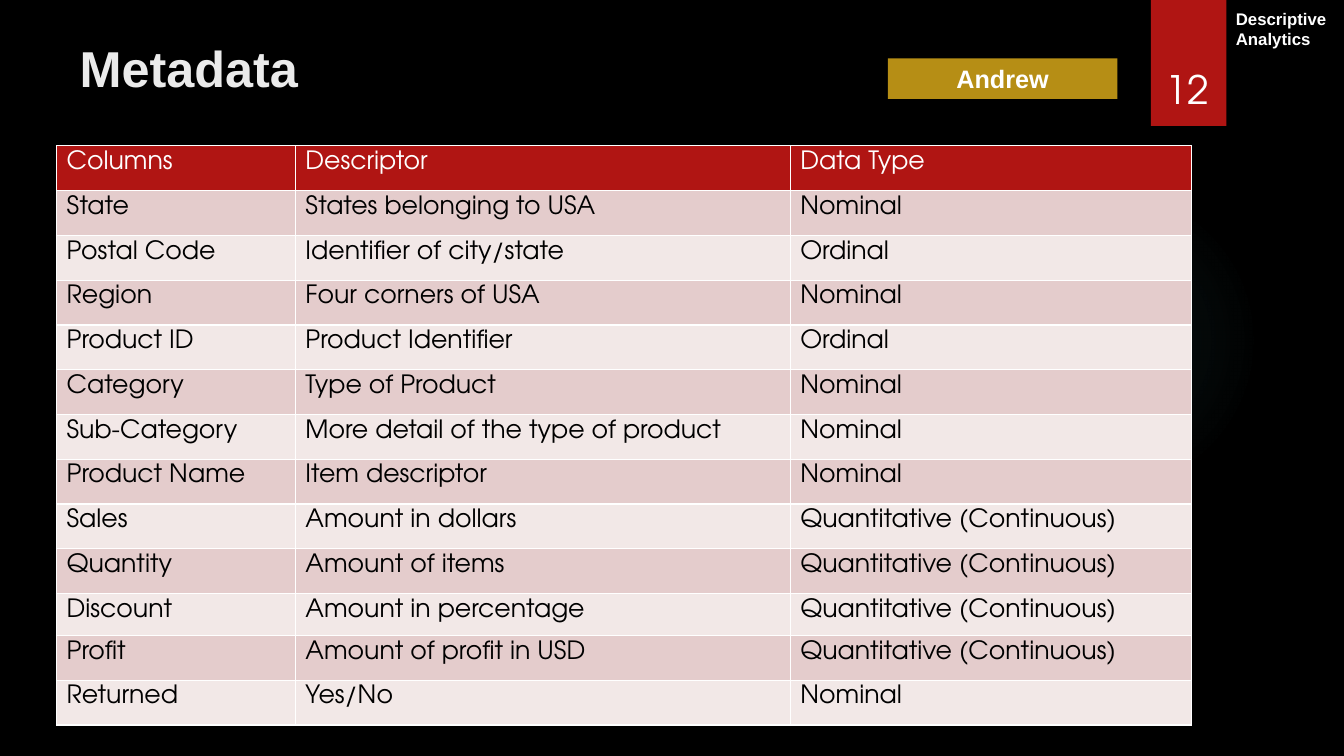
from pptx import Presentation
from pptx.dml.color import RGBColor
from pptx.enum.shapes import MSO_SHAPE
from pptx.enum.text import MSO_ANCHOR, PP_ALIGN
from pptx.oxml import parse_xml
from pptx.oxml.ns import nsdecls
from pptx.util import Pt

TITLE = "Metadata"
TOPIC = "Descriptive Analytics"
AUTHOR = "Andrew"
NUMBER = "12"
QUANT = "Quantitative (Continuous)"
ROWS = [
    ("Columns", "Descriptor", "Data Type"),
    ("State", "States belonging to USA", "Nominal"),
    ("Postal Code", "Identifier of city/state", "Ordinal"),
    ("Region", "Four corners of USA", "Nominal"),
    ("Product ID", "Product Identifier", "Ordinal"),
    ("Category", "Type of Product", "Nominal"),
    ("Sub-Category", "More detail of the type of product", "Nominal"),
    ("Product Name", "Item descriptor", "Nominal"),
    ("Sales", "Amount in dollars", QUANT),
    ("Quantity", "Amount of items", QUANT),
    ("Discount", "Amount in percentage", QUANT),
    ("Profit", "Amount of profit in USD", QUANT),
    ("Returned", "Yes/No", "Nominal"),
]
WIDTHS = (170.6, 353.5, 286.6)
TALL, SHORT = 32, 30
HEIGHTS = [SHORT if row[0] == "Discount" else TALL for row in ROWS]

COLORS = {
    "back": "000000", "red": "B01513", "gold": "B68E15", "glow": "50B9C1",
    "white": "FFFFFF", "title": "EBEBEB", "dark": "E4CCCC", "light": "F2E8E7",
}
GLOW = [(0, 7), (36, 6), (69, 0)]  # position and opacity, percent
SANS, GEO = "Arial", "TeX Gyre Adventor"


def color(name):
    return RGBColor.from_string(COLORS[name])


def write(frame, text, size, face, ink, bold=False, align=PP_ALIGN.LEFT):
    frame.text = text
    para = frame.paragraphs[0]
    para.alignment = align
    font = para.runs[0].font
    font.size, font.name, font.bold = Pt(size), face, bold
    font.color.rgb = color(ink)


def place(shape, *box):
    shape.left, shape.top, shape.width, shape.height = map(Pt, box)


def block(kind, fill, *box):
    shape = slide.shapes.add_shape(kind, *map(Pt, box))
    shape.shadow.inherit = False
    shape.fill.solid()
    shape.fill.fore_color.rgb = color(fill)
    shape.line.fill.background()
    return shape


def label(*box):
    frame = slide.shapes.add_textbox(*map(Pt, box)).text_frame
    frame.word_wrap = True
    return frame


def fade(shape):
    """Replace the solid fill by a faint radial gradient."""
    stops = "".join(
        f'<a:gs pos="{pos * 1000}"><a:srgbClr val="{COLORS["glow"]}">'
        f'<a:alpha val="{alpha * 1000}"/></a:srgbClr></a:gs>'
        for pos, alpha in GLOW)
    grad = parse_xml(
        f'<a:gradFill {nsdecls("a")}><a:gsLst>{stops}</a:gsLst>'
        '<a:path path="circle"><a:fillToRect l="50000" t="50000" '
        'r="50000" b="50000"/></a:path></a:gradFill>')
    props = shape.fill._xPr
    props.replace(props.solidFill, grad)


def rule(cell):
    """Draw white borders, which must come before the cell fill."""
    props = cell._tc.get_or_add_tcPr()
    for side in ("lnL", "lnR", "lnT", "lnB"):
        props.append(parse_xml(
            f'<a:{side} {nsdecls("a")} w="{Pt(1)}"><a:solidFill>'
            f'<a:srgbClr val="{COLORS["white"]}"/></a:solidFill></a:{side}>'))


deck = Presentation()
deck.slide_width, deck.slide_height = Pt(960), Pt(540)
slide = deck.slides.add_slide(deck.slide_layouts[5])
slide.background.fill.solid()
slide.background.fill.fore_color.rgb = color("back")

fade(block(MSO_SHAPE.OVAL, "glow", 677.5, 131.8, 221.8, 221.8))
block(MSO_SHAPE.RECTANGLE, "red", 822, 0, 54, 90)

count = label(815, 23, 66.2, 60.5)
count.vertical_anchor = MSO_ANCHOR.BOTTOM
count.margin_bottom = Pt(3)
write(count, NUMBER, 28, GEO, "white", align=PP_ALIGN.CENTER)

title = slide.shapes.title
place(title, 49.7, 11.5, 458.6, 60.5)
title.text_frame.vertical_anchor = MSO_ANCHOR.BOTTOM
title.text_frame.margin_bottom = Pt(2)
write(title.text_frame, TITLE, 36, SANS, "title", True)

write(label(875.7, 2.6, 84.3, 36), TOPIC, 12, SANS, "white", True)

badge = block(MSO_SHAPE.RECTANGLE, "gold", 634.2, 41.7, 164, 29)
write(badge.text_frame, AUTHOR, 18, SANS, "white", True, PP_ALIGN.CENTER)

table = slide.shapes.add_table(
    len(ROWS), len(WIDTHS), Pt(40.4), Pt(104.2),
    Pt(sum(WIDTHS)), Pt(sum(HEIGHTS))).table
for col, width in zip(table.columns, WIDTHS):
    col.width = Pt(width)
for r, row in enumerate(ROWS):
    table.rows[r].height = Pt(HEIGHTS[r])
    fill = "red" if r == 0 else "dark" if r % 2 else "light"
    for c, text in enumerate(row):
        cell = table.cell(r, c)
        cell.margin_top = cell.margin_bottom = Pt(3.6)
        rule(cell)
        cell.fill.solid()
        cell.fill.fore_color.rgb = color(fill)
        write(cell.text_frame, text, 18, GEO, "back" if r else "white")

deck.save("out.pptx")
